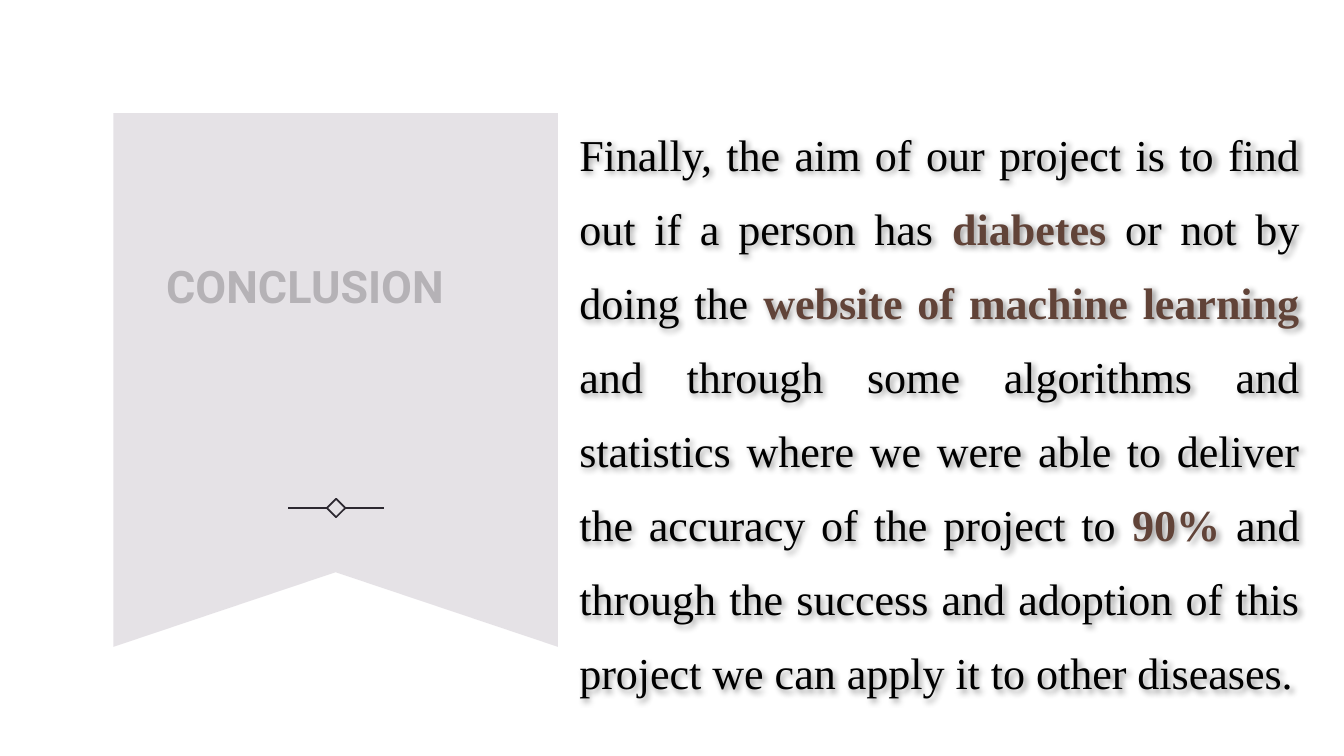
import pptx
import pptx.util
import pptx.dml.color
import pptx.enum.shapes
import pptx.enum.text
import pptx.oxml
from pptx.oxml.ns import nsdecls, qn

Cm, Pt = pptx.util.Cm, pptx.util.Pt
RGB = pptx.dml.color.RGBColor.from_string
SHAPE = pptx.enum.shapes.MSO_SHAPE
ALIGN = pptx.enum.text.PP_ALIGN
ANCHOR = pptx.enum.text.MSO_ANCHOR


class Theme:
    back = RGB("FFFFFF")
    flag = RGB("E0DCE1")
    ink = RGB("000000")
    mark = RGB("614338")
    rule = RGB("2C2830")
    thin = Pt(1.25)
    head = {"name": "Roboto", "size": Pt(32), "bold": True}
    body = {"name": "Times New Roman", "size": Pt(31.5), "bold": False}
    strong = {**body, "bold": True}


# Each part: text, stressed or not
STORY = [
    ("Finally, the aim of our project is to find out if a person has ", False),
    ("diabetes ", True),
    ("or not by doing the ", False),
    ("website of machine learning", True),
    (" and through some algorithms and statistics where we were able to "
     "deliver the accuracy of the project to ", False),
    ("90% ", True),
    ("and through the success and adoption of this project we can apply it "
     "to other diseases.", False),
]


def apply(item, form):
    for key, value in form.items():
        setattr(item, key, value)


def add_run(para, text, form, color):
    run = para.add_run()
    run.text = text
    apply(run.font, form)
    run.font.color.rgb = color


def place(shape, left, top, width, height):
    apply(shape, {"left": Cm(left), "top": Cm(top),
                  "width": Cm(width), "height": Cm(height)})


def add_effect(shape, inner=""):
    shape._element.spPr.append(pptx.oxml.parse_xml(
        f"<a:effectLst {nsdecls('a')}>{inner}</a:effectLst>"))


def add_flag(slide, left, top, width, height):
    """Ribbon with a notch cut into its foot."""
    notch = 1.88
    right, foot = left + width, top + height
    points = [(right, top), (right, foot),
              (left + width / 2, foot - notch), (left, foot)]
    build = slide.shapes.build_freeform(Cm(left), Cm(top))
    build.add_line_segments([(Cm(x), Cm(y)) for x, y in points], close=True)
    flag = build.convert_to_shape()
    flag.shadow.inherit = False
    flag.line.fill.background()
    flag.fill.solid()
    flag.fill.fore_color.rgb = Theme.flag
    color = flag._element.spPr.find(qn("a:solidFill"))[0]
    color.append(pptx.oxml.parse_xml(
        f'<a:alpha {nsdecls("a")} val="81000"/>'))


def add_mark(slide, left, top, width, height):
    """Diamond between two rules, centred in the box."""
    mid, axis = left + width / 2, top + height / 2
    side, gap = 0.33, 0.23
    gem = slide.shapes.add_shape(SHAPE.RECTANGLE, 0, 0, 0, 0)
    place(gem, mid - side / 2, axis - side / 2, side, side)
    gem.rotation = 45
    gem.shadow.inherit = False
    gem.fill.background()
    lines = [gem.line]
    for start, end in ((left, mid - gap), (mid + gap, left + width)):
        rule = slide.shapes.add_connector(
            pptx.enum.shapes.MSO_CONNECTOR.STRAIGHT,
            Cm(start), Cm(axis), Cm(end), Cm(axis))
        add_effect(rule)
        lines.append(rule.line)
    for line in lines:
        line.color.rgb = Theme.rule
        line.width = Theme.thin


def add_title(slide, *box):
    title = slide.shapes.title
    place(title, *box)
    apply(title.text_frame, {"vertical_anchor": ANCHOR.MIDDLE,
                             "word_wrap": True,
                             "auto_size": pptx.enum.text.MSO_AUTO_SIZE.NONE})
    para = title.text_frame.paragraphs[0]
    para.alignment = ALIGN.LEFT
    add_run(para, "CONCLUSION", Theme.head, Theme.ink)


def add_story(slide, *box):
    """Justified text with a soft shadow."""
    story = slide.shapes.add_textbox(0, 0, 0, 0)
    place(story, *box)
    apply(story.text_frame, {"word_wrap": True, "margin_top": 0,
                             "margin_bottom": 0})
    para = story.text_frame.paragraphs[0]
    apply(para, {"alignment": ALIGN.JUSTIFY, "line_spacing": Pt(52.9)})
    for text, strong in STORY:
        add_run(para, text, Theme.strong if strong else Theme.body,
                Theme.mark if strong else Theme.ink)
    add_effect(story, '<a:outerShdw blurRad="50800" dist="38100" dir="2700000">'
                      '<a:srgbClr val="000000"><a:alpha val="40000"/>'
                      '</a:srgbClr></a:outerShdw>')


def main():
    deck = pptx.Presentation()
    apply(deck, {"slide_width": Cm(33.87), "slide_height": Cm(19.05)})
    slide = deck.slides.add_slide(deck.slide_layouts.get_by_name("Title Only"))
    slide.background.fill.solid()
    slide.background.fill.fore_color.rgb = Theme.back

    # Left: ribbon, ornament and heading
    add_flag(slide, 2.86, 2.85, 11.2, 13.45)
    add_mark(slide, 7.26, 12.6, 2.42, 0.4)
    add_title(slide, 3.93, 6.38, 12.2, 1.62)
    # Right: closing text
    add_story(slide, 14.35, 2.67, 18.65, 14.93)
    deck.save("out.pptx")


if __name__ == "__main__":
    main()
